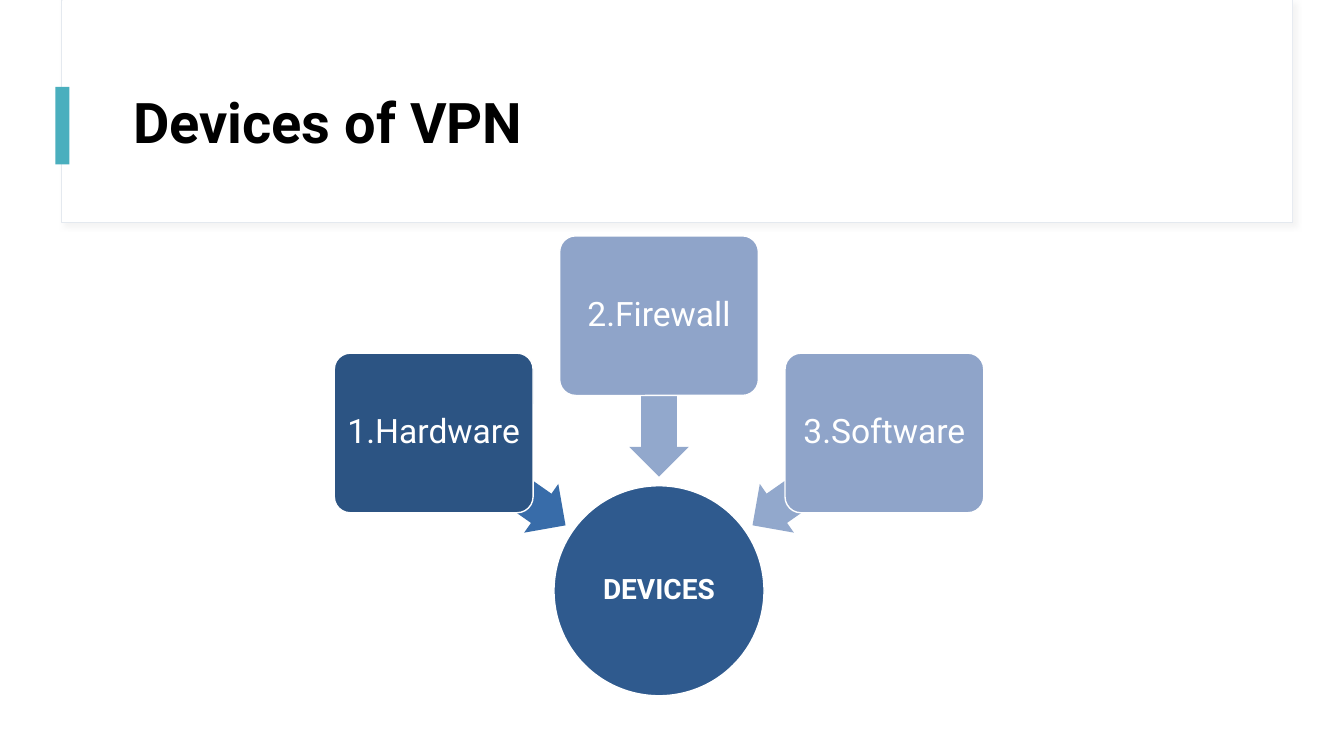
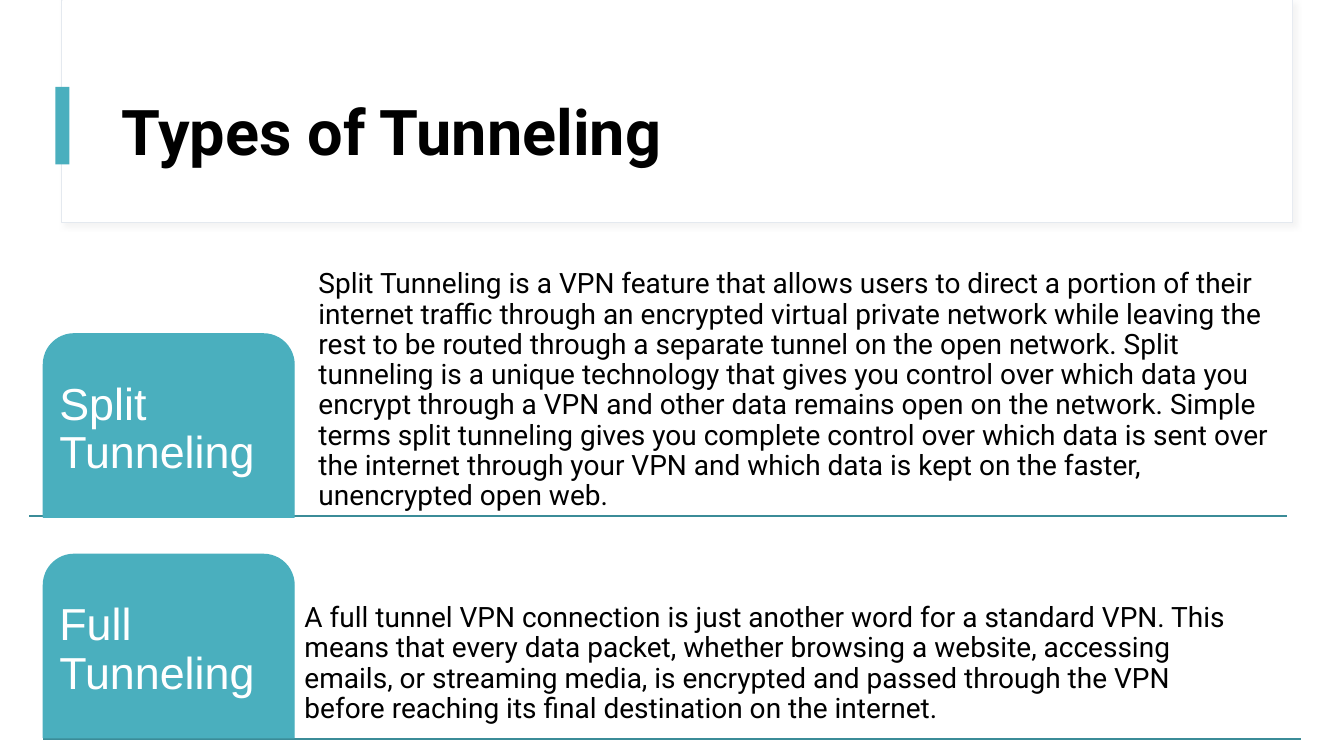
from math import cos, radians, sin

from lxml import etree
from pptx import Presentation
from pptx.dml.color import RGBColor
from pptx.enum.shapes import MSO_CONNECTOR, MSO_SHAPE as SHAPE
from pptx.enum.text import MSO_ANCHOR as ANCHOR, PP_ALIGN as ALIGN
from pptx.oxml import parse_xml
from pptx.oxml.ns import nsdecls, qn
from pptx.util import Pt

WHITE = RGBColor(0xFF, 0xFF, 0xFF)
BLACK = RGBColor(0, 0, 0)
TEAL = RGBColor(0x4A, 0xAF, 0xBE)
DARK_TEAL = RGBColor(0x3B, 0x8C, 0x98)
FRAME_GREY = RGBColor(0xE4, 0xE9, 0xEF)
HUB_BLUE = RGBColor(0x2F, 0x5A, 0x8E)
DARK_BLUE = RGBColor(0x2C, 0x54, 0x83)
MID_BLUE = RGBColor(0x38, 0x6C, 0xA9)
PALE_BLUE = RGBColor(0x8F, 0xA4, 0xC9)
PALE_ARROW = RGBColor(0x92, 0xA8, 0xCC)

FONT = "Roboto"
TAB_FONT = "Arial"

HUB_X, HUB_Y, HUB_SIZE = 470.75, 422, 150
CARD_SIZE, CARD_RADIUS = (142, 114), 196.5
ARROW_SIZE, ARROW_RADIUS = (115, 42.5), 139
DEVICES = [
    # label, direction from the hub in degrees, card colour, arrow colour
    ("1.Hardware", 215, DARK_BLUE, MID_BLUE),
    ("2.Firewall", 270, PALE_BLUE, PALE_ARROW),
    ("3.Software", 325, PALE_BLUE, PALE_ARROW),
]

TAB_LEFT, TAB_WIDTH, TAB_HEIGHT = 31, 179, 131
RULE_LENGTH = 898.5
TUNNELS = [
    # label, tab top, rule left and top, description box, description
    ("Split Tunneling", 238.5, (21, 368.5), (224.5, 194.5, 704, 174),
     "Split Tunneling is a VPN feature that allows users to direct a portion "
     "of their internet traffic through an encrypted virtual private network "
     "while leaving the rest to be routed through a separate tunnel on the "
     "open network. Split tunneling is a unique technology that gives you "
     "control over which data you encrypt through a VPN and other data "
     "remains open on the network. Simple terms split tunneling gives you "
     "complete control over which data is sent over the internet through "
     "your VPN and which data is kept on the faster, unencrypted open web."),
    ("Full Tunneling", 396, (31, 527.75), (214.5, 389.5, 664.5, 131),
     "A full tunnel VPN connection is just another word for a standard VPN. "
     "This means that every data packet, whether browsing a website, "
     "accessing emails, or streaming media, is encrypted and passed through "
     "the VPN before reaching its final destination on the internet."),
]


def write(box, text, size, color=BLACK, font=FONT, bold=False,
          align=ALIGN.LEFT, anchor=ANCHOR.MIDDLE, insets=(7.2, 3.6)):
    """Put one paragraph in a box; insets are (sides, top and bottom)."""
    frame = box.text_frame
    frame.word_wrap = True
    frame.vertical_anchor = anchor
    frame.margin_left = frame.margin_right = Pt(insets[0])
    frame.margin_top = frame.margin_bottom = Pt(insets[1])
    para = frame.paragraphs[0]
    para.alignment = align
    para.line_spacing = 0.9
    span = para.add_run()
    span.text = text
    span.font.name = font
    span.font.size = Pt(size)
    span.font.bold = bold
    span.font.color.rgb = color


def add_text(page, left, top, width, height, text, size, **text_format):
    box = page.shapes.add_textbox(Pt(left), Pt(top), Pt(width), Pt(height))
    write(box, text, size, **text_format)


def add_shape(page, kind, left, top, width, height, fill,
              line=None, line_width=1, adjustments=()):
    shape = page.shapes.add_shape(kind, Pt(left), Pt(top), Pt(width), Pt(height))
    shape.shadow.inherit = False
    shape.fill.solid()
    shape.fill.fore_color.rgb = fill
    if line is None:
        shape.line.fill.background()
    else:
        shape.line.color.rgb = line
        shape.line.width = Pt(line_width)
    for index, value in enumerate(adjustments):
        shape.adjustments[index] = value
    return shape


def add_centred(page, kind, x, y, size, fill, **look):
    width, height = size
    return add_shape(page, kind, x - width / 2, y - height / 2,
                     width, height, fill, **look)


def add_soft_shadow(shape):
    effects = shape._element.spPr.find(qn("a:effectLst"))
    effects.append(parse_xml(
        f'<a:outerShdw {nsdecls("a")} blurRad="{Pt(4)}" dist="{Pt(3)}" '
        'dir="2700000" algn="tl" rotWithShape="0"><a:srgbClr val="D9D9D9">'
        '<a:alpha val="30000"/></a:srgbClr></a:outerShdw>'))


def add_rule(page, left, top):
    rule = page.shapes.add_connector(
        MSO_CONNECTOR.STRAIGHT, Pt(left), Pt(top), Pt(left + RULE_LENGTH), Pt(top))
    rule.line.color.rgb = DARK_TEAL
    rule.line.width = Pt(1)
    etree.SubElement(rule._element.spPr, qn("a:effectLst"))


def add_page(deck, title, left, top, size, anchor):
    """Add a blank page with the shared header frame, accent and title."""
    page = deck.slides.add_slide(deck.slide_layouts[6])
    frame = add_shape(page, SHAPE.RECTANGLE, 44, 0, 879, 159, WHITE,
                      line=FRAME_GREY, line_width=0.75)
    add_soft_shadow(frame)
    add_shape(page, SHAPE.RECTANGLE, 44.5, 0, 878.5, 158.5, WHITE)
    add_shape(page, SHAPE.RECTANGLE, 39.5, 62, 10, 55.5, TEAL)
    add_text(page, left, top, 800.5, 93, title, size, bold=True, anchor=anchor)
    return page


def around_hub(angle, radius):
    return (HUB_X + radius * cos(radians(angle)),
            HUB_Y + radius * sin(radians(angle)))


def add_device(page, label, angle, card_color, arrow_color):
    arrow = add_centred(page, SHAPE.LEFT_ARROW, *around_hub(angle, ARROW_RADIUS),
                        ARROW_SIZE, arrow_color, adjustments=(0.6, 0.5))
    arrow.rotation = angle
    card = add_centred(page, SHAPE.ROUNDED_RECTANGLE,
                       *around_hub(angle, CARD_RADIUS), CARD_SIZE, card_color,
                       line=WHITE, adjustments=(0.1,))
    write(card, label, 24, color=WHITE, align=ALIGN.CENTER, insets=(3.6, 3.6))


def add_tunnel(page, label, tab_top, rule_start, text_area, description):
    add_rule(page, *rule_start)
    add_text(page, *text_area, description, 20,
             anchor=ANCHOR.BOTTOM, insets=(3, 3))
    tab = add_shape(page, SHAPE.ROUND_2_SAME_RECTANGLE, TAB_LEFT, tab_top,
                    TAB_WIDTH, TAB_HEIGHT, TEAL, line=TEAL,
                    adjustments=(0.167, 0))
    write(tab, label, 32, color=WHITE, font=TAB_FONT, insets=(5, 5))


def main():
    deck = Presentation()
    deck.slide_width, deck.slide_height = Pt(960), Pt(540)

    page = add_page(deck, "Devices of VPN", 88, 43, 40, ANCHOR.MIDDLE)
    hub = add_centred(page, SHAPE.OVAL, HUB_X, HUB_Y, (HUB_SIZE, HUB_SIZE),
                      HUB_BLUE, line=WHITE)
    write(hub, "DEVICES", 20, color=WHITE, bold=True,
          align=ALIGN.CENTER, insets=(1, 1))
    for device in DEVICES:
        add_device(page, *device)

    page = add_page(deck, "Types of Tunneling", 80, 31, 45, ANCHOR.BOTTOM)
    for tunnel in TUNNELS:
        add_tunnel(page, *tunnel)

    deck.save("out.pptx")


if __name__ == "__main__":
    main()
